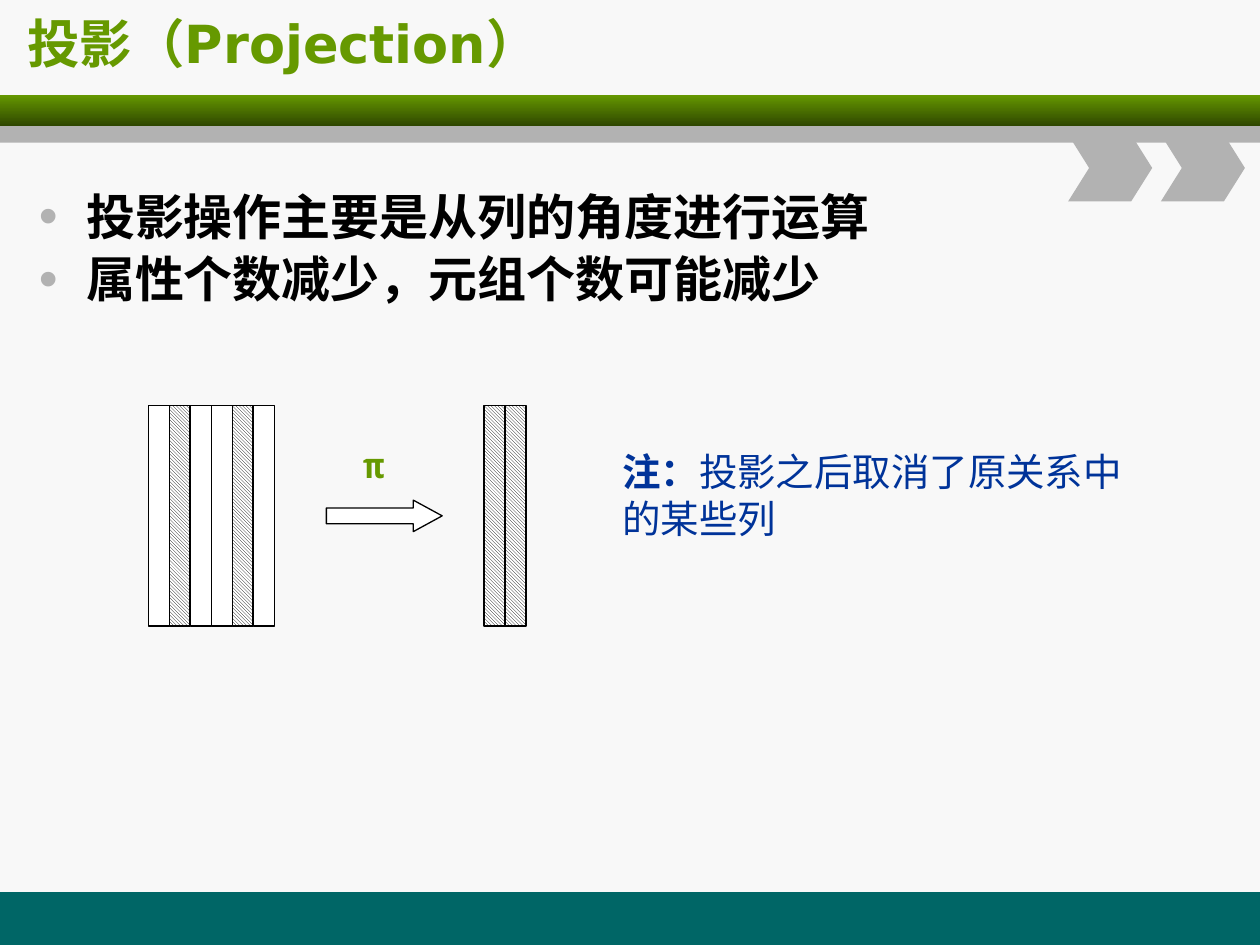
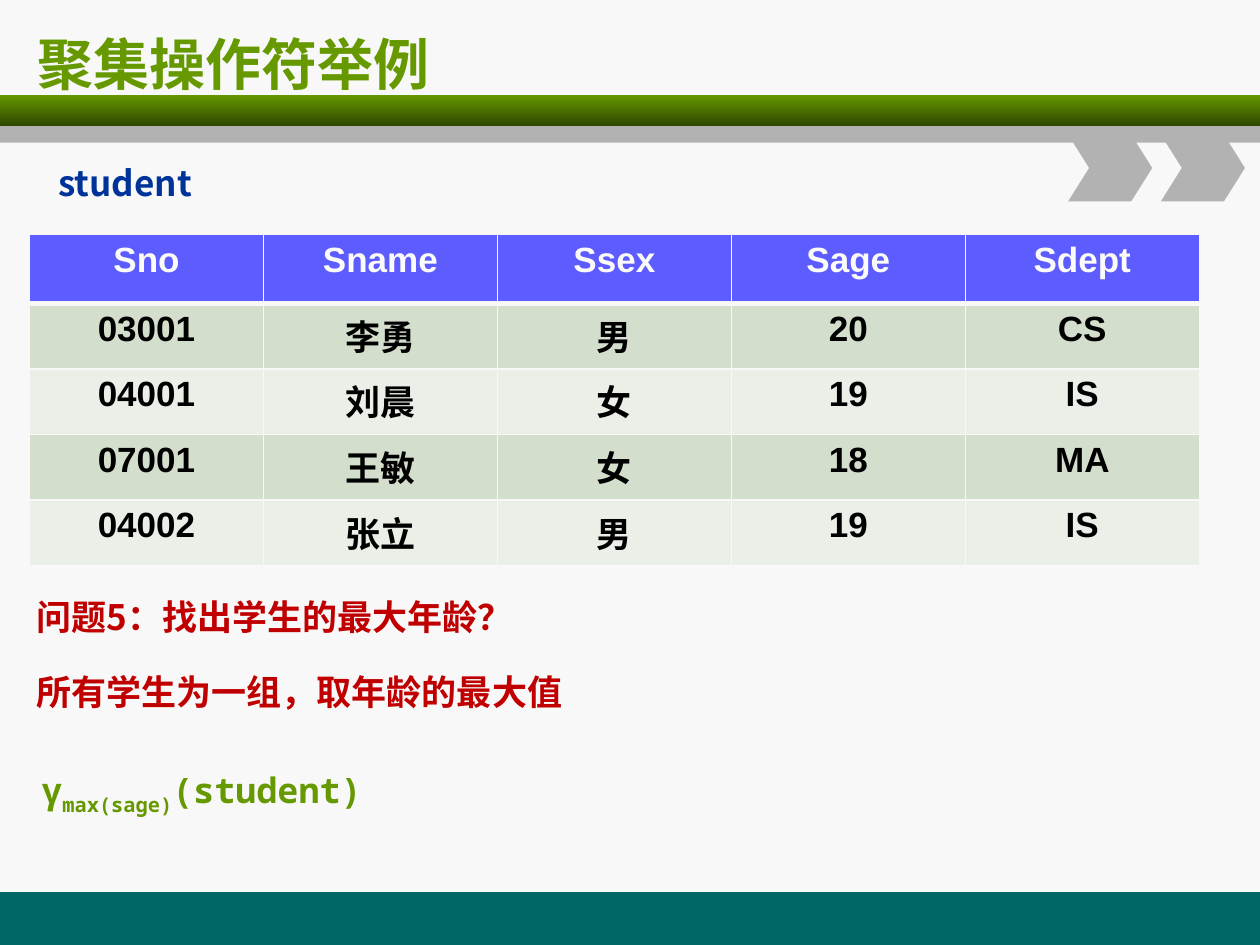
import dataclasses

import lxml.etree
import pptx
import pptx.dml.color
import pptx.enum.dml
import pptx.enum.shapes
import pptx.enum.text
import pptx.oxml.ns
import pptx.util

Pt = pptx.util.Pt
SHAPE = pptx.enum.shapes.MSO_SHAPE
ALIGN = pptx.enum.text.PP_ALIGN
qn = pptx.oxml.ns.qn


@dataclasses.dataclass(frozen=True)
class Theme:
    background: str = "F8F8F8"
    footer: str = "006666"
    green: str = "669900"
    dark_green: str = "2F4700"
    gray: str = "B2B2B2"
    navy: str = "003399"
    red: str = "C00000"
    black: str = "000000"
    white: str = "FFFFFF"
    header_fill: str = "5C5CFF"
    header_text: str = "FBFBFB"
    row_fills: tuple = ("D3DECC", "EAEFE7")
    heading_font: str = "DejaVu Sans"
    mono_font: str = "Noto Sans Mono"
    chinese_font: str = "Noto Sans CJK SC"
    table_font: str = "Arial"
    bullet_size: int = 28
    note_size: int = 22
    text_size: int = 20


THEME = Theme()


def rgb(value):
    return pptx.dml.color.RGBColor.from_string(value)


def add_child(parent, tag, **attributes):
    return lxml.etree.SubElement(parent, qn(tag), attributes)


def style_paragraph(para, size, font, color, align=ALIGN.LEFT, asian_font=None):
    para.alignment = align
    para.font.size = Pt(size)
    para.font.bold = True
    para.font.name = font
    para.font.color.rgb = rgb(color)
    defaults = para._p.pPr.find(qn("a:defRPr"))
    add_child(defaults, "a:ea", typeface=asian_font or font)


def add_shape(page, kind, left, top, width, height, fill=None, outlined=False):
    shape = page.shapes.add_shape(kind, Pt(left), Pt(top), Pt(width), Pt(height))
    shape.shadow.inherit = False
    if fill:
        shape.fill.solid()
        shape.fill.fore_color.rgb = rgb(fill)
    if outlined:
        shape.line.color.rgb = rgb(THEME.black)
        shape.line.width = Pt(0.75)
    else:
        shape.line.fill.background()
    return shape


def add_box(page, left, top, width, height):
    box = page.shapes.add_textbox(Pt(left), Pt(top), Pt(width), Pt(height))
    box.text_frame.word_wrap = True
    return box.text_frame


def add_label(page, text, left, top, width, height, color, font, **options):
    para = add_box(page, left, top, width, height).paragraphs[0]
    para.text = text
    style_paragraph(para, THEME.text_size, font, color, **options)
    return para


def add_page(deck, title, size, left, top, width, height):
    page = deck.slides.add_slide(deck.slide_layouts[6])
    page.background.fill.solid()
    page.background.fill.fore_color.rgb = rgb(THEME.background)

    add_shape(page, SHAPE.RECTANGLE, 0, 509.8, 720, 30.2, THEME.footer)
    band = add_shape(page, SHAPE.RECTANGLE, 0, 54, 720, 18)
    band.fill.gradient()
    band.fill.gradient_angle = 270
    for stop, position, color in zip(band.fill.gradient_stops, (0, 1), (THEME.green, THEME.dark_green)):
        stop.position = position
        stop.color.rgb = rgb(color)
    add_shape(page, SHAPE.RECTANGLE, 0, 72, 720, 9.5, THEME.gray)
    for chevron_left in (610.4, 663.4):
        chevron = add_shape(page, SHAPE.CHEVRON, chevron_left, 77, 48, 38, THEME.gray)
        chevron.adjustments[0] = 0.314

    frame = add_box(page, left, top, width, height)
    frame.vertical_anchor = pptx.enum.text.MSO_ANCHOR.MIDDLE
    para = frame.paragraphs[0]
    para.text = title
    style_paragraph(para, size, THEME.heading_font, THEME.green)
    return page


def add_bullets(page, lines, left, top, width, height):
    frame = add_box(page, left, top, width, height)
    for index, line in enumerate(lines):
        para = frame.add_paragraph() if index else frame.paragraphs[0]
        para.text = line
        properties = para._p.get_or_add_pPr()
        properties.set("marL", str(Pt(27)))
        properties.set("indent", str(-Pt(27)))
        add_child(add_child(properties, "a:buClr"), "a:srgbClr", val=THEME.gray)
        add_child(properties, "a:buSzPct", val="110000")
        add_child(properties, "a:buFont", typeface=THEME.table_font)
        add_child(properties, "a:buChar", char="•")
        para.line_spacing = 0.9
        if index:
            para.space_before = Pt(0.2 * THEME.bullet_size)
        style_paragraph(para, THEME.bullet_size, THEME.heading_font, THEME.black, ALIGN.JUSTIFY)


def add_relation(page, left, column_count, kept_columns):
    column_width = 12
    for index in range(column_count):
        column = add_shape(page, SHAPE.RECTANGLE, left + index * column_width, 231.8,
                           column_width, 126, THEME.white, outlined=True)
        if index in kept_columns:
            column.fill.patterned()
            column.fill.pattern = pptx.enum.dml.MSO_PATTERN.LIGHT_DOWNWARD_DIAGONAL
            column.fill.fore_color.rgb = rgb(THEME.black)
            column.fill.back_color.rgb = rgb(THEME.white)


def add_note(page, heading, text, left, top, width, height):
    para = add_box(page, left, top, width, height).paragraphs[0]
    for content, bold in ((heading, True), (text, False)):
        span = para.add_run()
        span.text = content
        span.font.bold = bold
    style_paragraph(para, THEME.note_size, THEME.mono_font, THEME.navy, asian_font=THEME.heading_font)


def set_borders(cell, top, bottom):
    properties = cell._tc.get_or_add_tcPr()
    for side, width in (("L", 1), ("R", 1), ("T", top), ("B", bottom)):
        line = add_child(properties, f"a:ln{side}", w=str(Pt(width)))
        add_child(add_child(line, "a:solidFill"), "a:srgbClr", val=THEME.background)


def add_student_table(page, rows, left, top, column_width, header_height, row_height):
    row_count, column_count = len(rows), len(rows[0])
    height = header_height + row_height * (row_count - 1)
    table = page.shapes.add_table(row_count, column_count, Pt(left), Pt(top),
                                  Pt(column_width * column_count), Pt(height)).table
    table.first_row = table.horz_banding = False
    for column in table.columns:
        column.width = Pt(column_width)
    for row_index, values in enumerate(rows):
        is_header = row_index == 0
        table.rows[row_index].height = Pt(header_height if is_header else row_height)
        fill = THEME.header_fill if is_header else THEME.row_fills[(row_index - 1) % 2]
        color = THEME.header_text if is_header else THEME.black
        for column_index, value in enumerate(values):
            cell = table.cell(row_index, column_index)
            set_borders(cell, top=3 if row_index == 1 else 1, bottom=3 if is_header else 1)
            cell.fill.solid()
            cell.fill.fore_color.rgb = rgb(fill)
            para = cell.text_frame.paragraphs[0]
            para.text = value
            style_paragraph(para, THEME.text_size, THEME.table_font, color, ALIGN.CENTER, THEME.chinese_font)


def add_aggregate(page, operator, subscript, operand, left, top, width, height):
    para = add_label(page, operator, left, top, width, height, THEME.green, THEME.mono_font)
    lowered = para.add_run()
    lowered.text = subscript
    lowered._r.get_or_add_rPr().set("baseline", "-25000")
    para.add_run().text = operand


def build_projection_page(deck):
    page = add_page(deck, "投影（Projection）", 30, 8.6, 2.2, 617, 44.6)
    add_bullets(page, ("投影操作主要是从列的角度进行运算", "属性个数减少，元组个数可能减少"),
                15.1, 106.6, 580, 240)
    arrow = add_shape(page, SHAPE.RIGHT_ARROW, 186.5, 285.8, 66.2, 18, THEME.white, outlined=True)
    arrow.adjustments[0] = 0.5
    arrow.adjustments[1] = 0.917
    add_label(page, "π", 186.5, 249.8, 54, 36, THEME.green, THEME.mono_font, align=ALIGN.CENTER)
    add_relation(page, 84.7, 6, (1, 4))
    add_relation(page, 276.6, 2, (0, 1))
    add_note(page, "注：", "投影之后取消了原关系中的某些列", 348.5, 252.7, 319.7, 85)


def build_aggregate_page(deck):
    page = add_page(deck, "聚集操作符举例", 32, 14.4, 12.2, 687.6, 48.2)
    students = (
        ("Sno", "Sname", "Ssex", "Sage", "Sdept"),
        ("03001", "李勇", "男", "20", "CS"),
        ("04001", "刘晨", "女", "19", "IS"),
        ("07001", "王敏", "女", "18", "MA"),
        ("04002", "张立", "男", "19", "IS"),
    )
    add_student_table(page, students, 16.9, 134, 133.7, 39.3, 37.5)
    add_label(page, "student", 2.2, 88.6, 114.5, 31.7, THEME.navy, THEME.chinese_font, align=ALIGN.RIGHT)
    for text, top in (("问题5：找出学生的最大年龄？", 337), ("所有学生为一组，取年龄的最大值", 379.4)):
        add_label(page, text, 13.7, top, 527.8, 31.7, THEME.red, THEME.chinese_font)
    add_aggregate(page, "γ", "max(sage)", "(student)", 16.6, 435.6, 527.8, 31.7)


def main():
    deck = pptx.Presentation()
    deck.slide_width = Pt(720)
    deck.slide_height = Pt(540)
    build_projection_page(deck)
    build_aggregate_page(deck)
    deck.save("out.pptx")


if __name__ == "__main__":
    main()
